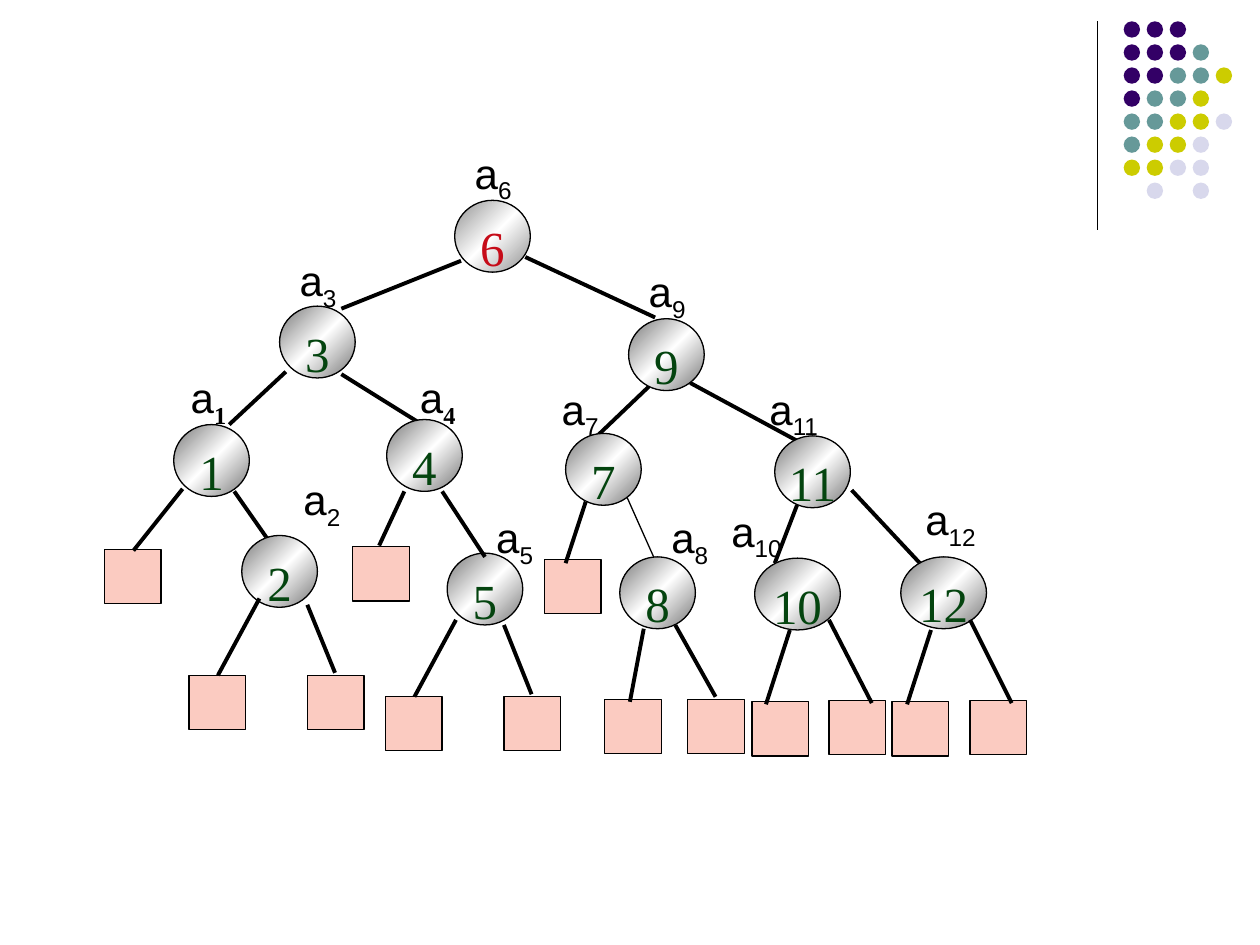
from copy import deepcopy
from dataclasses import dataclass

from pptx import Presentation
from pptx import util as u
from pptx.dml.color import RGBColor
from pptx.enum import shapes, text
from pptx.oxml import ns, xmlchemy


@dataclass(frozen=True)
class Theme:
    """Colours, fonts and type sizes of the deck."""
    ink: str = "000000"
    key: str = "04440F"
    root_key: str = "C60C19"
    rim: str = "767676"
    root_rim: str = "909090"
    shine: str = "FFFFFF"
    leaf: str = "FBCBC1"
    dots: tuple = (("P", "330066"), ("T", "669999"), ("Y", "CCCC00"), ("L", "D8D8EC"))
    serif: str = "Times New Roman"
    sans: str = "Arial"
    key_size: int = 28
    label_size: int = 24
    thin: float = 0.75
    thick: float = 2.25


@dataclass(frozen=True)
class Box:
    """A region whose inner places are multiples of one unit, all in centimetres."""
    left: float
    top: float
    unit: float = 2.54

    def point(self, x, y):
        """Give the slide position of an inner point."""
        return u.Cm(self.left + x * self.unit), u.Cm(self.top + y * self.unit)

    def size(self, width, height):
        """Give the slide lengths of an inner size."""
        return u.Cm(width * self.unit), u.Cm(height * self.unit)


THEME = Theme()
NODE_HEIGHT = 0.57
LEAF_SIZE = (0.45, 0.43)
DOT_ROWS = ("PPP", "PPPT", "PPTTY", "PTTY", "TTYYL", "TYYL", "YYLL", " L L")

BACK_NODES = (("5", 2.75, 3.39, 0.6),)
FRONT_NODES = (
    ("6", 2.81, 0.59, 0.6), ("3", 1.42, 1.43, 0.6), ("9", 4.19, 1.53, 0.6),
    ("1", 0.58, 2.37, 0.6), ("4", 2.27, 2.33, 0.6), ("7", 3.69, 2.44, 0.6),
    ("11", 5.35, 2.46, 0.6), ("2", 1.12, 3.25, 0.6), ("8", 4.12, 3.42, 0.6),
    ("10", 5.19, 3.43, 0.68), ("12", 6.35, 3.42, 0.68),
)
LABELS = (
    ("6", 2.81, 0.08, 0.61), ("3", 1.42, 0.93, 0.61), ("9", 4.19, 1.02, 0.61),
    ("1", 0.55, 1.86, 0.61), ("4", 2.37, 1.86, 0.61), ("7", 3.5, 1.95, 0.61),
    ("11", 5.14, 1.95, 0.72), ("2", 1.45, 2.67, 0.61), ("5", 2.98, 2.97, 0.61),
    ("8", 4.37, 2.97, 0.61), ("10", 4.87, 2.92, 0.67), ("12", 6.37, 2.83, 0.75),
)
LEAVES = (
    (0.03, 3.36), (2, 3.34), (3.52, 3.44), (0.7, 4.36), (1.64, 4.36),
    (2.26, 4.53), (3.2, 4.53), (4, 4.55), (4.66, 4.55), (5.17, 4.57),
    (5.78, 4.56), (6.28, 4.57), (6.9, 4.56),
)
THIN_EDGE = (4.17, 2.93, 4.42, 3.49)
BACK_EDGES = (
    (3.37, 1.04, 4.4, 1.52), (2.86, 1.07, 1.91, 1.45), (1.47, 1.95, 1.02, 2.37),
    (1.91, 1.97, 2.52, 2.35), (4.38, 2.04, 3.93, 2.47), (4.68, 2.04, 5.53, 2.5),
    (0.65, 2.88, 0.26, 3.37), (1.06, 2.9, 1.34, 3.3), (2.41, 2.9, 2.21, 3.33),
    (2.71, 2.9, 3.05, 3.42), (3.86, 2.95, 3.69, 3.47), THIN_EDGE,
    (5.53, 3, 5.35, 3.47), (5.96, 2.89, 6.53, 3.5), (2.82, 3.92, 2.49, 4.53),
    (3.2, 3.96, 3.42, 4.51), (4.31, 3.99, 4.2, 4.57), (4.56, 3.96, 4.88, 4.53),
    (5.47, 4, 5.28, 4.59), (5.78, 3.92, 6.12, 4.58),
)
FRONT_EDGES = (
    (1.26, 3.75, 0.93, 4.36), (1.64, 3.8, 1.86, 4.34),
    (6.59, 4, 6.4, 4.59), (6.9, 3.92, 7.23, 4.58),
)


def rgb(code):
    """Turn a hex code into a colour."""
    return RGBColor.from_string(code)


def add_line(page, box, ends, weight):
    """Draw a straight black line between two inner points."""
    line = page.shapes.add_connector(
        shapes.MSO_CONNECTOR.STRAIGHT, *box.point(*ends[:2]), *box.point(*ends[2:]))
    line.line.color.rgb = rgb(THEME.ink)
    line.line.width = u.Pt(weight)
    line._element.spPr.append(xmlchemy.OxmlElement("a:effectLst"))


def add_preset(page, box, kind, place, size, fill=None, outlined=True):
    """Place a preset shape with an optional solid fill and a thin outline."""
    shape = page.shapes.add_shape(kind, *box.point(*place), *box.size(*size))
    shape.shadow.inherit = False
    if fill:
        shape.fill.solid()
        shape.fill.fore_color.rgb = rgb(fill)
    if outlined:
        shape.line.color.rgb = rgb(THEME.ink)
        shape.line.width = u.Pt(THEME.thin)
    else:
        shape.line.fill.background()
    return shape


def add_span(para, words, size, color, font):
    """Add one styled run to a paragraph."""
    span = para.add_run()
    span.text = words
    span.font.size = u.Pt(size)
    span.font.name = font
    span.font.color.rgb = rgb(color)
    return span


def set_frame(frame, sides, ends, wrap):
    """Set insets and wrapping, and return the centred first paragraph."""
    frame.margin_left = frame.margin_right = u.Cm(sides)
    frame.margin_top = frame.margin_bottom = u.Cm(ends)
    frame.word_wrap = wrap
    frame.vertical_anchor = text.MSO_ANCHOR.TOP
    para = frame.paragraphs[0]
    para.alignment = text.PP_ALIGN.CENTER
    return para


def fill_with_shine(shape, rim):
    """Fill a shape with a diagonal gradient that is lightest in the middle."""
    shape.fill.gradient()
    shape.fill.gradient_angle = 315
    stop_list = shape._element.spPr.find(ns.qn("a:gradFill")).find(ns.qn("a:gsLst"))
    stop_list.insert(1, deepcopy(stop_list[0]))
    for stop, place, color in zip(
            shape.fill.gradient_stops, (0, 0.5, 1), (rim, THEME.shine, rim)):
        stop.position = place
        stop.color.rgb = rgb(color)


def add_node(page, box, key, x, y, width):
    """Draw one inner node of the tree with its key."""
    root = key == "6"
    shape = add_preset(page, box, shapes.MSO_SHAPE.OVAL, (x, y), (width, NODE_HEIGHT))
    fill_with_shine(shape, THEME.root_rim if root else THEME.rim)
    para = set_frame(shape.text_frame, 0.05, 0.13, False)
    add_span(para, key, THEME.key_size, THEME.root_key if root else THEME.key, THEME.serif)


def add_label(page, box, index, x, y, width):
    """Write the name of a node, an a with its index below the line."""
    frame = page.shapes.add_textbox(*box.point(x, y), *box.size(width, 0.56)).text_frame
    para = set_frame(frame, 0.25, 0.23, True)
    add_span(para, "a", THEME.label_size, THEME.ink, THEME.sans)
    bold = index in ("1", "4")
    span = add_span(para, index, THEME.label_size, THEME.ink,
                    THEME.serif if bold else THEME.sans)
    span.font.bold = bold
    span.font._element.set("baseline", "-25000")


def add_edges(page, box, edges):
    """Draw a set of tree edges."""
    for ends in edges:
        add_line(page, box, ends, THEME.thin if ends == THIN_EDGE else THEME.thick)


def add_tree(page, box):
    """Draw the search tree with its leaves, edges, nodes and labels."""
    for node in BACK_NODES:
        add_node(page, box, *node)
    for place in LEAVES:
        add_preset(page, box, shapes.MSO_SHAPE.RECTANGLE, place, LEAF_SIZE, THEME.leaf)
    add_edges(page, box, BACK_EDGES)
    for node in FRONT_NODES:
        add_node(page, box, *node)
    add_edges(page, box, FRONT_EDGES)
    for label in LABELS:
        add_label(page, box, *label)


def add_corner(page, box):
    """Draw the corner ornament, a rule beside a grid of dots."""
    add_line(page, box, (0, 0, 0, 1.66), THEME.thin)
    colors = dict(THEME.dots)
    for row, marks in enumerate(DOT_ROWS):
        for column, mark in enumerate(marks):
            if mark in colors:
                place = (0.21 + column * 0.73 / 4, row * 1.28 / 7)
                add_preset(page, box, shapes.MSO_SHAPE.OVAL, place, (0.13, 0.13),
                           colors[mark], outlined=False)


def main():
    """Build the deck and save it."""
    deck = Presentation()
    deck.slide_width, deck.slide_height = u.Cm(25.4), u.Cm(19.05)
    page = deck.slides.add_slide(deck.slide_layouts[6])
    add_corner(page, Box(22.12, 0.43))
    add_tree(page, Box(2.03, 2.54))
    deck.save("out.pptx")


if __name__ == "__main__":
    main()
